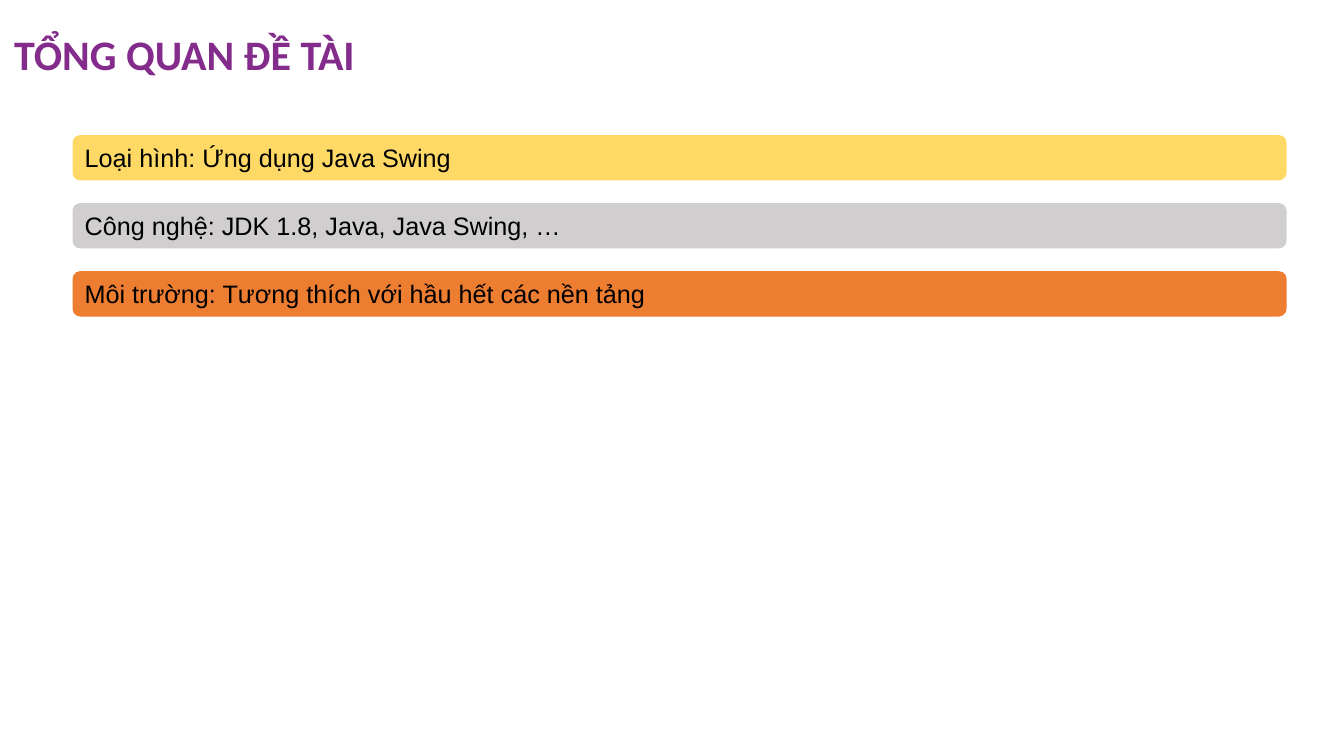
from pptx import Presentation
from pptx import util as u
from pptx.dml.color import RGBColor
from pptx.enum import shapes, text

WIDE, HIGH = u.Inches(13.33), u.Inches(7.5)
HUES = {"title": "832C8B", "ink": "000000", "gold": "FFD966",
        "grey": "D0CECE", "orange": "ED7D31"}
FACTS = [
    ("Loại hình: Ứng dụng Java Swing", "gold"),
    ("Công nghệ: JDK 1.8, Java, Java Swing, …", "grey"),
    ("Môi trường: Tương thích với hầu hết các nền tảng", "orange"),
]


def hue(name):
    return RGBColor.from_string(HUES[name])


def style(par, face, size, tint, bold=False):
    par.alignment = text.PP_ALIGN.LEFT
    for run in par.runs:
        font = run.font
        font.name, font.size, font.bold = face, u.Pt(size), bold
        font.color.rgb = hue(tint)


def head(slide, box, words):
    title = slide.shapes.title
    title.left, title.top, title.width, title.height = box
    frame = title.text_frame
    frame.text = words
    frame.auto_size = text.MSO_AUTO_SIZE.NONE
    frame.vertical_anchor = text.MSO_ANCHOR.MIDDLE
    frame.margin_left = frame.margin_right = u.Inches(0.1)
    frame.margin_top = frame.margin_bottom = u.Inches(0.1)
    par = frame.paragraphs[0]
    par.line_spacing = 0.9
    style(par, "Calibri", 30, "title", True)


def bars(slide, box, facts):
    left, top, width, height = box
    # Each bar is two units high, each gap one
    unit = height / (3 * len(facts) - 1)
    for row, (words, tint) in enumerate(facts):
        bar = slide.shapes.add_shape(
            shapes.MSO_SHAPE.ROUNDED_RECTANGLE,
            left, int(top + 3 * row * unit), width, int(2 * unit))
        bar.shadow.inherit = False
        bar.fill.solid()
        bar.fill.fore_color.rgb = hue(tint)
        bar.line.fill.background()
        frame = bar.text_frame
        frame.text = words
        frame.word_wrap = True
        frame.auto_size = text.MSO_AUTO_SIZE.SHAPE_TO_FIT_TEXT
        frame.vertical_anchor = text.MSO_ANCHOR.MIDDLE
        par = frame.paragraphs[0]
        par.space_before = par.space_after = u.Pt(6)
        style(par, "Arial", 18, "ink")


def main():
    deck = Presentation()
    deck.slide_width, deck.slide_height = WIDE, HIGH
    slide = deck.slides.add_slide(deck.slide_layouts[5])
    # Heading
    head(slide, (u.Inches(0.04), 0, u.Inches(11.5), int(HIGH * 0.15)),
         "TỔNG QUAN ĐỀ TÀI")
    # Project facts
    bars(slide, (u.Inches(0.72), u.Inches(1.34), u.Inches(12.04),
                 int(HIGH * 0.24)), FACTS)
    deck.save("out.pptx")


if __name__ == "__main__":
    main()
